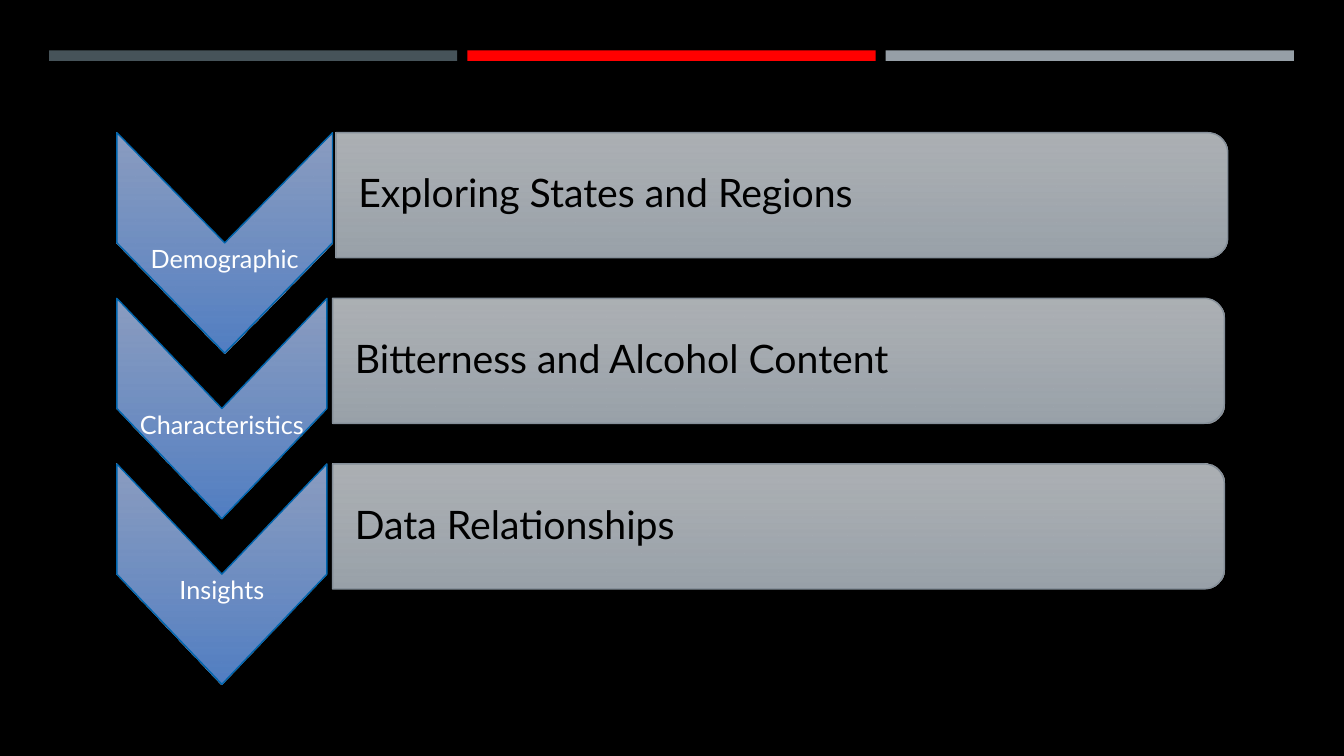
from dataclasses import dataclass
from math import cos, pi, sin

from lxml import etree
from pptx import Presentation
from pptx.dml.color import RGBColor
from pptx.enum import shapes, text
from pptx.oxml import ns
from pptx.util import Pt


@dataclass(frozen=True)
class Theme:
    """Colours, font and type sizes of the slide."""
    back: str = "000000"
    bands: tuple = ("465359", "FF0000", "969FA7")
    arrow: tuple = ("9BAFD7", "5380C4", "0065AD")
    panel: tuple = ("C0C5C9", "9BA3AB", "858F99")
    light: str = "FFFFFF"
    dark: str = "000000"
    font: str = "Lato"
    small: int = 18
    large: int = 28


@dataclass(frozen=True)
class Row:
    """One chevron label with its topic panel."""
    label: str
    topic: str
    width: float
    left: float


THEME = Theme()
ROWS = (
    Row("Demographic", "Exploring States and Regions", 154, 240),
    Row("Characteristics", "Bitterness and Alcohol Content", 150, 237.6),
    Row("Insights", "Data Relationships", 150, 237.6),
)


def color(code: str) -> RGBColor:
    """Turn a hex code into a colour."""
    return RGBColor.from_string(code)


def outline(slide, points: list, tones: tuple):
    """Draw a closed shape with a downward gradient and a thin line."""
    dots = [(Pt(x), Pt(y)) for x, y in points]
    pen = slide.shapes.build_freeform(*dots[0])
    pen.add_line_segments(dots[1:], close=True)
    shape = pen.convert_to_shape()
    shape.shadow.inherit = False
    shape.fill.gradient()
    shape.fill.gradient_angle = 270
    for stop, tone in zip(shape.fill.gradient_stops, tones):
        stop.color.rgb = color(tone)
    first = shape.element.spPr.xpath(".//a:gs/a:srgbClr")[0]
    etree.SubElement(first, ns.qn("a:alpha")).set("val", "90000")
    shape.line.color.rgb = color(tones[2])
    shape.line.width = Pt(1)
    return shape


def write(shape, words: str, size: int, tone: str, align, pads: tuple) -> None:
    """Set the words of a shape."""
    frame = shape.text_frame
    frame.word_wrap = True
    frame.vertical_anchor = text.MSO_ANCHOR.MIDDLE
    (frame.margin_left, frame.margin_top,
     frame.margin_right, frame.margin_bottom) = map(Pt, pads)
    para = frame.paragraphs[0]
    para.text = words
    para.alignment = align
    para.line_spacing = 0.9
    para.font.name = THEME.font
    para.font.size = Pt(size)
    para.font.color.rgb = color(tone)


def chevron(slide, row: Row, top: float) -> None:
    """Draw the downward chevron of a row."""
    left, half, step = 83.5, row.width / 2, 78.7
    right = left + row.width
    points = [(right, top), (right, top + step), (left + half, top + 2 * step),
              (left, top + step), (left, top), (left + half, top + step)]
    shape = outline(slide, points, THEME.arrow)
    write(shape, row.label, THEME.small, THEME.light,
          text.PP_ALIGN.CENTER, (1, 26, 1, 1))


def panel(slide, row: Row, top: float) -> None:
    """Draw the topic panel of a row, rounded on its right side."""
    right, low, bend, steps = row.left + 637, top + 89.3, 14.5, 12
    turns = [i * pi / 2 / steps for i in range(steps + 1)]
    upper = [(right - bend + bend * sin(a), top + bend - bend * cos(a)) for a in turns]
    lower = [(right - bend + bend * cos(a), low - bend + bend * sin(a)) for a in turns]
    points = [(row.left, top), *upper, *lower, (row.left, low)]
    shape = outline(slide, points, THEME.panel)
    write(shape, row.topic, THEME.large, THEME.dark,
          text.PP_ALIGN.LEFT, (16, 5, 5, 5))


def band(slide, index: int, tone: str) -> None:
    """Draw one band of the top rule."""
    shape = slide.shapes.add_shape(shapes.MSO_SHAPE.RECTANGLE, Pt(35 + 298.8 * index),
                                   Pt(36), Pt(291.6), Pt(7.5))
    shape.shadow.inherit = False
    shape.fill.solid()
    shape.fill.fore_color.rgb = color(tone)
    shape.line.fill.background()


def main() -> None:
    """Build and save the slide."""
    deck = Presentation()
    deck.slide_width, deck.slide_height = Pt(960), Pt(540)
    slide = deck.slides.add_slide(deck.slide_layouts[6])
    slide.background.fill.solid()
    slide.background.fill.fore_color.rgb = color(THEME.back)
    for index, tone in enumerate(THEME.bands):
        band(slide, index, tone)
    for index, row in enumerate(ROWS):
        top = 94.8 + 118.3 * index
        chevron(slide, row, top)
        panel(slide, row, top)
    deck.save("out.pptx")


if __name__ == "__main__":
    main()
